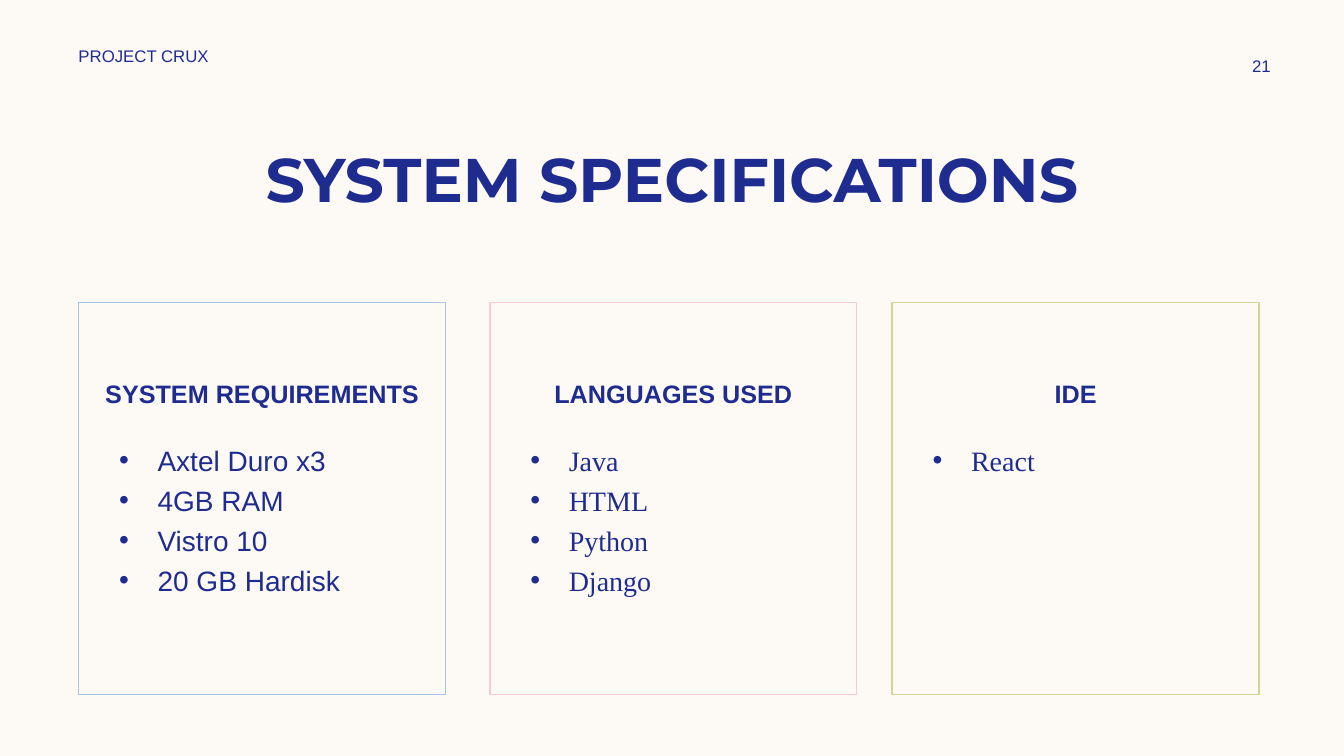
"""Build the system specifications slide, with lengths in percent of the slide."""
from dataclasses import dataclass

from lxml import etree
from pptx import Presentation
from pptx.dml.color import RGBColor
from pptx.enum.shapes import MSO_SHAPE
from pptx.enum.text import MSO_ANCHOR, PP_ALIGN
from pptx.oxml.ns import qn
from pptx.util import Emu, Inches, Pt

RECT = MSO_SHAPE.RECTANGLE
TOP, MIDDLE = MSO_ANCHOR.TOP, MSO_ANCHOR.MIDDLE
LEFT, CENTER = PP_ALIGN.LEFT, PP_ALIGN.CENTER

COLORS = {
    "paper": "FDFAF6",
    "ink": "1F2C8F",
    "blue": "AAC3E8",
    "pink": "F5CDCE",
    "green": "D2D592",
}
WIDTH, HEIGHT = Inches(13.33), Inches(7.5)
CARD_TOP, CARD_W, CARD_H = 40, 27.3, 51.87
LIST_INSET, LIST_TOP, LIST_H = 2.28, 57.6, 32.13
INDENT = Inches(0.38)


@dataclass
class Box:
    """Place on the slide, in percent of its width and height."""
    x: float
    y: float
    w: float
    h: float

    def emu(self) -> tuple[Emu, Emu, Emu, Emu]:
        """Return left, top, width and height."""
        return (Emu(int(WIDTH * self.x / 100)), Emu(int(HEIGHT * self.y / 100)),
                Emu(int(WIDTH * self.w / 100)), Emu(int(HEIGHT * self.h / 100)))


@dataclass
class Label:
    """A single line of text in its own box."""
    text: str
    box: Box
    size: int
    font: str = "Arial"
    align: PP_ALIGN = LEFT
    anchor: MSO_ANCHOR = MIDDLE
    bold: bool = False


@dataclass
class Card:
    """An outlined panel with a heading and a bulleted list."""
    heading: str
    x: float
    line: str
    font: str
    items: list[str]


LABELS = [
    Label("SYSTEM SPECIFICATIONS", Box(6.23, 18, 87.55, 11.2), 44,
          "Montserrat", CENTER, TOP, True),
    Label("PROJECT CRUX", Box(5.1, 5.4, 26.26, 4), 12),
    Label("21", Box(89.8, 6.67, 8.1, 4), 12, align=CENTER),
]
CARDS = [
    Card("SYSTEM REQUIREMENTS", 5.85, "blue", "Arial",
         ["Axtel Duro x3", "4GB RAM", "Vistro 10", "20 GB Hardisk"]),
    Card("LANGUAGES USED", 36.45, "pink", "Times New Roman",
         ["Java", "HTML", "Python", "Django"]),
    Card("IDE", 66.38, "green", "Times New Roman", ["React"]),
]


def rgb(name: str) -> RGBColor:
    """Look up a named colour."""
    return RGBColor.from_string(COLORS[name])


def style(p, font: str, size: int, bold: bool = False) -> None:
    """Format every run of a paragraph."""
    for r in p.runs:
        r.font.name, r.font.size, r.font.bold = font, Pt(size), bold
        r.font.color.rgb = rgb("ink")


def add_label(s, label: Label) -> None:
    """Draw one line of text."""
    tf = s.shapes.add_textbox(*label.box.emu()).text_frame
    tf.word_wrap = True
    tf.vertical_anchor = label.anchor
    tf.text = label.text
    p = tf.paragraphs[0]
    p.alignment = label.align
    style(p, label.font, label.size, label.bold)


def add_bullet(p) -> None:
    """Give a paragraph a hanging bullet."""
    pPr = p._p.get_or_add_pPr()
    pPr.set("marL", str(INDENT))
    pPr.set("indent", str(-INDENT))
    etree.SubElement(pPr, qn("a:buFont")).set("typeface", "Arial")
    etree.SubElement(pPr, qn("a:buChar")).set("char", "•")


def add_card(s, card: Card) -> None:
    """Draw a panel, its heading and its list."""
    sp = s.shapes.add_shape(RECT, *Box(card.x, CARD_TOP, CARD_W, CARD_H).emu())
    sp.shadow.inherit = False
    sp.fill.background()
    sp.line.color.rgb = rgb(card.line)
    sp.line.width = Pt(1)
    tf = sp.text_frame
    tf.word_wrap = True
    tf.vertical_anchor = TOP
    tf.margin_top = Inches(0.75)
    tf.text = card.heading
    tf.paragraphs[0].alignment = CENTER
    style(tf.paragraphs[0], "Arial", 18, True)

    box = Box(card.x + LIST_INSET, LIST_TOP, CARD_W - 2 * LIST_INSET, LIST_H)
    tf = s.shapes.add_textbox(*box.emu()).text_frame
    tf.word_wrap = True
    tf.margin_top = Inches(0.08)
    tf.text = "\n".join(card.items)
    for i, p in enumerate(tf.paragraphs):
        if i:
            p.space_before = Pt(4.5)
        add_bullet(p)
        style(p, card.font, 20)


def main() -> None:
    """Build and save the slide."""
    prs = Presentation()
    prs.slide_width, prs.slide_height = WIDTH, HEIGHT
    s = prs.slides.add_slide(prs.slide_layouts[6])
    s.background.fill.solid()
    s.background.fill.fore_color.rgb = rgb("paper")
    for label in LABELS:
        add_label(s, label)
    for card in CARDS:
        add_card(s, card)
    prs.save("out.pptx")


if __name__ == "__main__":
    main()
